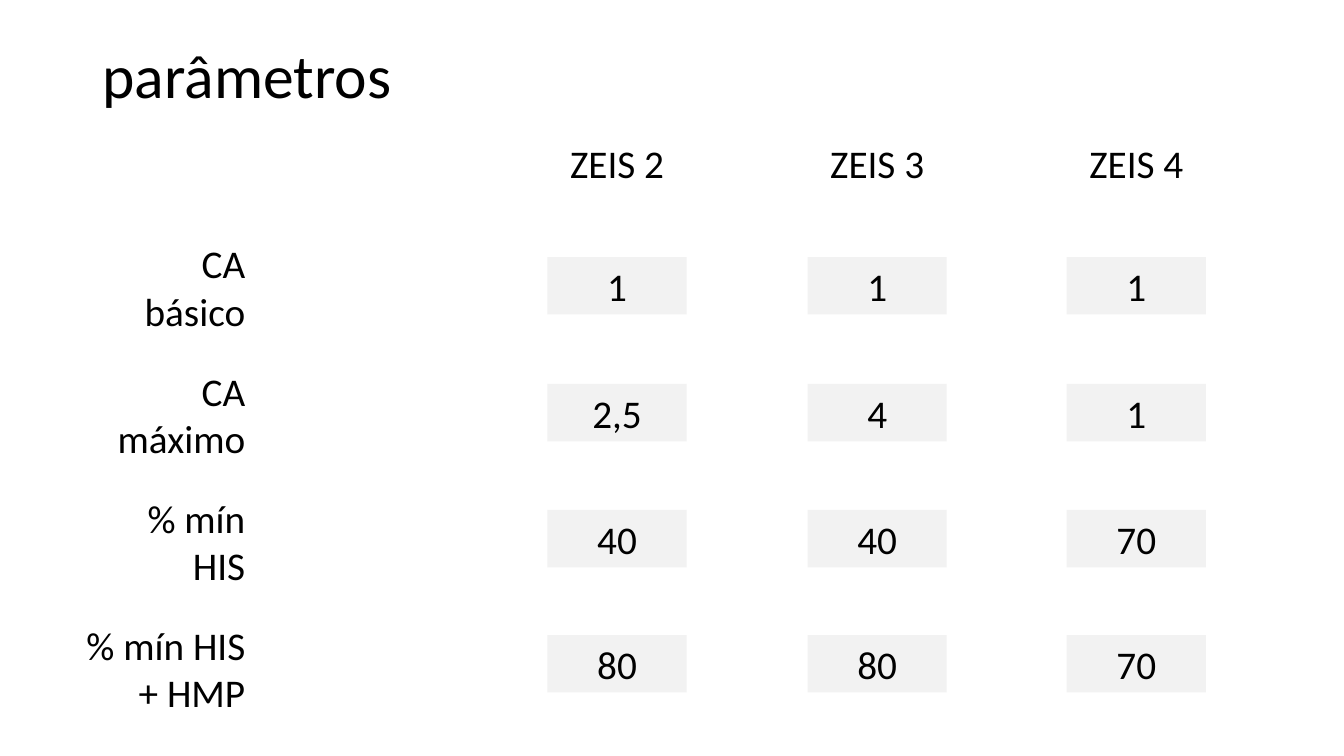
from pptx import Presentation
from pptx.dml.color import RGBColor
from pptx.enum.shapes import MSO_SHAPE as Shape
from pptx.enum.text import MSO_ANCHOR as Anchor, PP_ALIGN as Align
from pptx.util import Inches, Pt

BLACK = RGBColor(0x00, 0x00, 0x00)
GREY = RGBColor(0xF2, 0xF2, 0xF2)

HEADS = ["ZEIS 2", "ZEIS 3", "ZEIS 4"]
ROWS = [
    ("CA básico", 1.38, 2.55, ["1", "1", "1"]),
    ("CA máximo", 1.58, 3.81, ["2,5", "4", "1"]),
    ("% mín HIS", 1.58, 5.06, ["40", "40", "70"]),
    ("% mín HIS + HMP", 1.81, 6.3, ["80", "80", "70"]),
]
LEFTS = [5.43, 8.01, 10.58]
WIDTH, HEIGHT = 1.38, 0.57
RIGHT = 2.53


def write(shape, text, size=28, align=Align.CENTER, spacing=None):
    frame = shape.text_frame
    frame.word_wrap = True
    frame.vertical_anchor = Anchor.TOP
    para = frame.paragraphs[0]
    para.alignment = align
    para.line_spacing = spacing
    run = para.add_run()
    run.text = text
    run.font.size = Pt(size)
    run.font.name = "Calibri"
    run.font.color.rgb = BLACK


class Board:
    def __init__(self, slide):
        self.shapes = slide.shapes

    def label(self, text, left, top, width, height, **style):
        box = self.shapes.add_textbox(*map(Inches, (left, top, width, height)))
        write(box, text, **style)

    def cell(self, text, left, top):
        area = map(Inches, (left, top, WIDTH, HEIGHT))
        box = self.shapes.add_shape(Shape.RECTANGLE, *area)
        box.shadow.inherit = False
        box.fill.solid()
        box.fill.fore_color.rgb = GREY
        box.line.fill.background()
        write(box, text)


def main():
    deck = Presentation()
    deck.slide_width = Inches(13.33)
    deck.slide_height = Inches(7.5)
    board = Board(deck.slides.add_slide(deck.slide_layouts[6]))

    board.label("parâmetros", 0.92, 0.4, 11.5, 1.45,
                size=44, align=Align.LEFT, spacing=0.9)
    for head, left in zip(HEADS, LEFTS):
        board.label(head, left, 1.33, WIDTH, HEIGHT)
    for i, (name, width, top, values) in enumerate(ROWS):
        board.label(name, RIGHT - width, 2.33 + 1.26 * i, width, 1.04,
                    align=Align.RIGHT)
        for value, left in zip(values, LEFTS):
            board.cell(value, left, top)

    deck.save("out.pptx")


if __name__ == "__main__":
    main()
